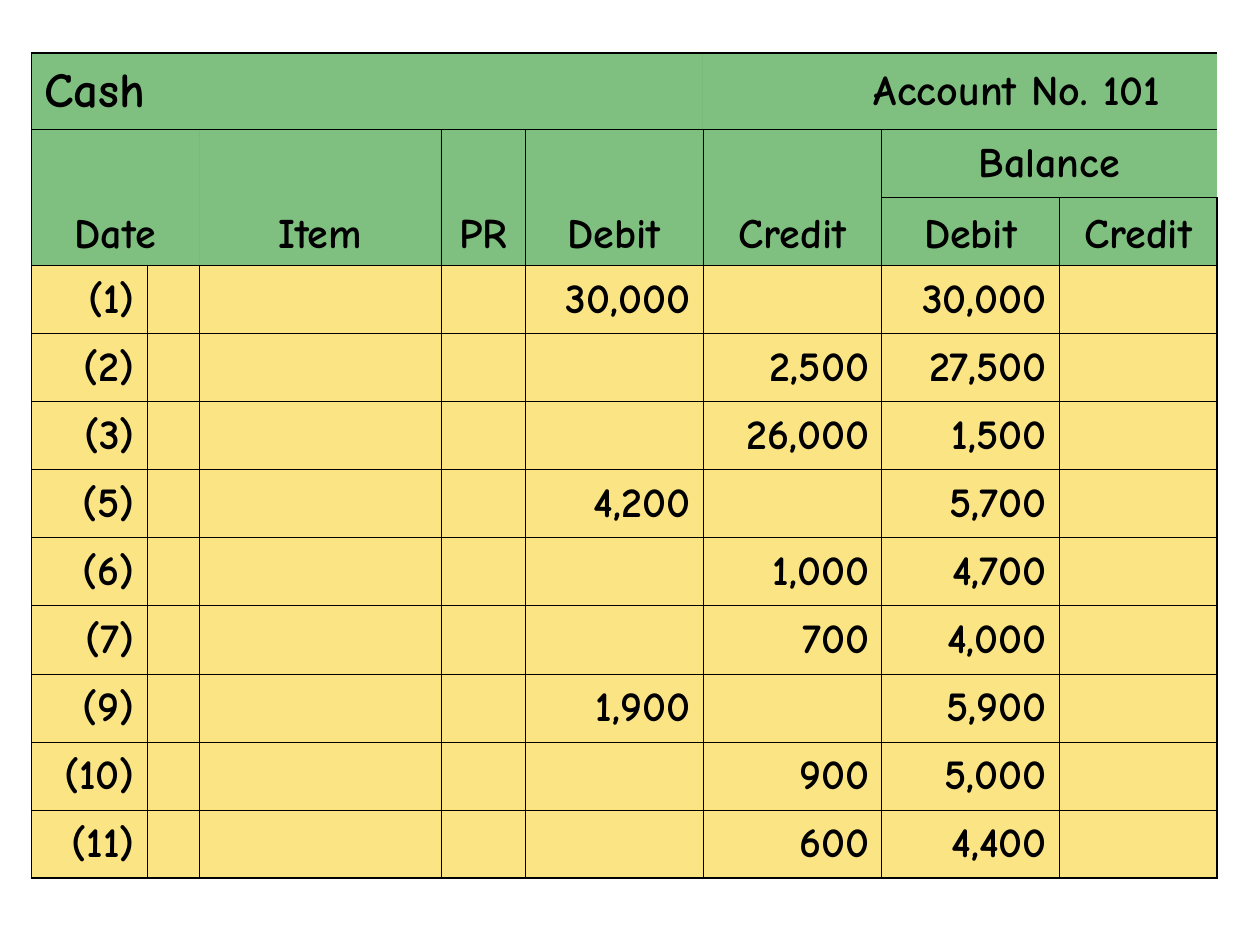
from dataclasses import dataclass
from itertools import product
from typing import Optional

from lxml import etree
from pptx import Presentation, util as u
from pptx.dml import color
from pptx.enum import text
from pptx.oxml import ns
from pptx.table import Table, _Cell


@dataclass(frozen=True)
class Theme:
    font: str = "Comic Neue"
    ink: str = "000000"
    header_fill: str = "008000"
    entry_fill: str = "F8CB0A"
    fill_opacity: int = 50
    title_size: float = 28
    body_size: float = 24
    inner_line: float = 0.45
    outer_line: float = 1.08


@dataclass(frozen=True)
class LedgerCell:
    row: int
    column: int
    content: str = ""
    row_span: int = 1
    column_span: int = 1
    align: text.PP_ALIGN = text.PP_ALIGN.CENTER
    anchor: text.MSO_ANCHOR = text.MSO_ANCHOR.BOTTOM
    fill: str = Theme.header_fill
    size: float = Theme.body_size
    right_margin: float = 0.1


@dataclass(frozen=True)
class Entry:
    date: str
    debit: str
    credit: str
    balance: str


THEME = Theme()
COLUMN_WIDTHS = (0.92, 0.41, 1.92, 0.67, 1.41, 1.42, 1.41, 1.25)
TITLE_HEIGHT, ROW_HEIGHT = 0.61, 0.54
HEADER_ROWS = 3
LEFT, RIGHT, MIDDLE = text.PP_ALIGN.LEFT, text.PP_ALIGN.RIGHT, text.MSO_ANCHOR.MIDDLE

HEADERS = (
    LedgerCell(0, 0, "Cash", column_span=5, align=LEFT, anchor=MIDDLE, size=THEME.title_size),
    LedgerCell(0, 5, "Account No. 101", column_span=3, align=RIGHT, anchor=MIDDLE,
               right_margin=0.45),
    LedgerCell(1, 0, "Date", row_span=2, column_span=2),
    LedgerCell(1, 2, "Item", row_span=2),
    LedgerCell(1, 3, "PR", row_span=2),
    LedgerCell(1, 4, "Debit", row_span=2),
    LedgerCell(1, 5, "Credit", row_span=2),
    LedgerCell(1, 6, "Balance", column_span=2, anchor=MIDDLE),
    LedgerCell(2, 6, "Debit"),
    LedgerCell(2, 7, "Credit"),
)

ENTRIES = (
    Entry("(1)", "30,000", "", "30,000"),
    Entry("(2)", "", "2,500", "27,500"),
    Entry("(3)", "", "26,000", "1,500"),
    Entry("(5)", "4,200", "", "5,700"),
    Entry("(6)", "", "1,000", "4,700"),
    Entry("(7)", "", "700", "4,000"),
    Entry("(9)", "1,900", "", "5,900"),
    Entry("(10)", "", "900", "5,000"),
    Entry("(11)", "", "600", "4,400"),
)


def entry_cells(row: int, entry: Entry) -> list[LedgerCell]:
    contents = (entry.date, "", "", "", entry.debit, entry.credit, entry.balance, "")
    return [
        LedgerCell(row, column, content, align=RIGHT, anchor=MIDDLE, fill=THEME.entry_fill)
        for column, content in enumerate(contents)
    ]


def set_border(cell: _Cell, tag: str, width: Optional[float]) -> None:
    line = etree.SubElement(cell._tc.get_or_add_tcPr(), ns.qn(f"a:{tag}"))
    if width is None:
        etree.SubElement(line, ns.qn("a:noFill"))
        return
    line.set("w", str(int(u.Pt(width))))
    fill = etree.SubElement(line, ns.qn("a:solidFill"))
    etree.SubElement(fill, ns.qn("a:srgbClr"), val=THEME.ink)


def set_borders(table: Table, item: LedgerCell, row: int, column: int) -> None:
    last_row, last_column = len(table.rows) - 1, len(table.columns) - 1
    side_line = None if item.row == 0 else THEME.inner_line
    edges = (
        ("lnL", column == item.column, column == 0, side_line),
        ("lnR", column == item.column + item.column_span - 1, column == last_column, side_line),
        ("lnT", row == item.row, row == 0, THEME.inner_line),
        ("lnB", row == item.row + item.row_span - 1, row == last_row, THEME.inner_line),
    )
    for tag, on_edge, on_outside, inner in edges:
        width = THEME.outer_line if on_outside else inner
        set_border(table.cell(row, column), tag, width if on_edge else None)


def set_fill(cell: _Cell, fill: str) -> None:
    cell.fill.solid()
    cell.fill.fore_color.rgb = color.RGBColor.from_string(fill)
    fill_color = cell._tc.tcPr.find(ns.qn("a:solidFill"))[0]
    etree.SubElement(fill_color, ns.qn("a:alpha"), val=str(THEME.fill_opacity * 1000))


def draw_cell(table: Table, item: LedgerCell) -> None:
    rows = range(item.row, item.row + item.row_span)
    columns = range(item.column, item.column + item.column_span)
    for row, column in product(rows, columns):
        set_borders(table, item, row, column)
        set_fill(table.cell(row, column), item.fill)
    cell = table.cell(item.row, item.column)
    if item.row_span * item.column_span > 1:
        cell.merge(table.cell(rows[-1], columns[-1]))
    cell.vertical_anchor = item.anchor
    cell.margin_right = u.Inches(item.right_margin)
    cell.text_frame.text = item.content
    paragraph = cell.text_frame.paragraphs[0]
    paragraph.alignment = item.align
    paragraph.font.size = u.Pt(item.size)
    for run in paragraph.runs:
        run.font.name = THEME.font
        run.font.size = u.Pt(item.size)
        run.font.bold = True
        run.font.color.rgb = color.RGBColor.from_string(THEME.ink)


def main() -> None:
    presentation = Presentation()
    presentation.slide_width, presentation.slide_height = u.Inches(10), u.Inches(7.5)
    slide = presentation.slides.add_slide(presentation.slide_layouts[6])
    row_heights = [TITLE_HEIGHT] + [ROW_HEIGHT] * (HEADER_ROWS - 1 + len(ENTRIES))
    table = slide.shapes.add_table(
        len(row_heights), len(COLUMN_WIDTHS), u.Inches(0.25), u.Inches(0.42),
        u.Inches(sum(COLUMN_WIDTHS)), u.Inches(sum(row_heights)),
    ).table
    table.first_row = table.horz_banding = False
    for column, width in zip(table.columns, COLUMN_WIDTHS):
        column.width = u.Inches(width)
    for row, height in zip(table.rows, row_heights):
        row.height = u.Inches(height)
    for header in HEADERS:
        draw_cell(table, header)
    for row, entry in enumerate(ENTRIES, HEADER_ROWS):
        for item in entry_cells(row, entry):
            draw_cell(table, item)
    presentation.save("out.pptx")


if __name__ == "__main__":
    main()
